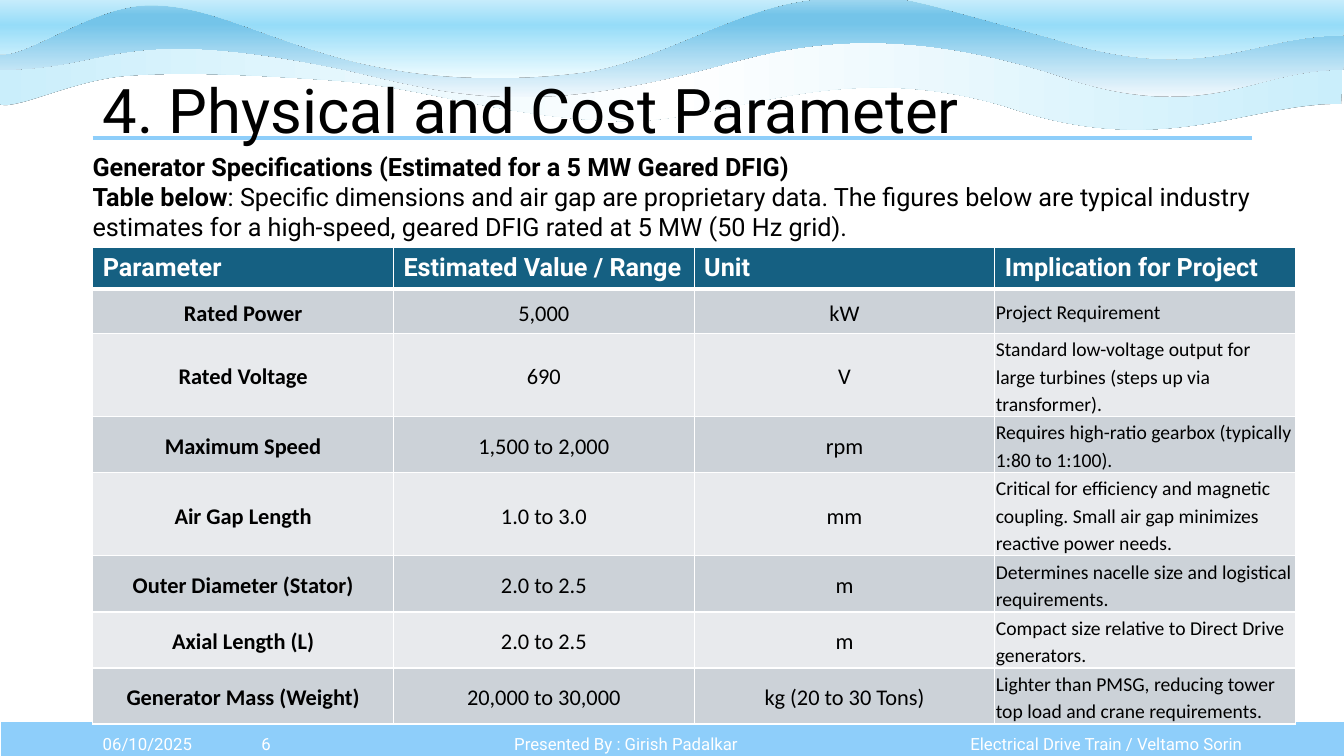
from pptx import Presentation
from pptx.dml.color import RGBColor
from pptx.enum.shapes import MSO_CONNECTOR, MSO_SHAPE
from pptx.enum.text import MSO_ANCHOR, PP_ALIGN
from pptx.oxml import parse_xml
from pptx.oxml.ns import nsdecls, qn
from pptx.util import Inches, Pt

LEFT, CENTER, RIGHT = PP_ALIGN.LEFT, PP_ALIGN.CENTER, PP_ALIGN.RIGHT
MIDDLE, TOP = MSO_ANCHOR.MIDDLE, MSO_ANCHOR.TOP
RECT, STRAIGHT = MSO_SHAPE.RECTANGLE, MSO_CONNECTOR.STRAIGHT
NS = nsdecls("a")
UNIT = 1000  # path units per inch

# Each wave: box, gradient stops, gradient angle, outline (2 numbers: line, 6: curve)
WAVES = [
    ((-0.04, 0.3, 13.36, 0.98), [(0, "CAEEFB"), (50, "FFFFFF"), (100, "CAEEFB")], 0, [
        (13.3, 1.03), (12.37, 1.02, 11.52, 1.59, 9.99, 1.06),
        (8.27, 0.54, 7.21, 1.24, 6.1, 1.2), (4.99, 1.16, 4.21, 0.87, 3.35, 0.8),
        (2.49, 0.74, 1.83, 0.71, 1.27, 0.75), (0.71, 0.79, 0.14, 1.11, -0.02, 1.03),
        (-0.02, 0.8, -0.04, 0.53, -0.04, 0.3), (3.13, 0.31), (6.52, 0.34),
        (9.41, 0.32), (13.32, 0.34), (13.32, 0.55, 13.32, 0.8, 13.3, 1.03)]),
    ((0, -0.02, 13.33, 0.98),
     [(0, "F0F8FD"), (74, "74C4E9"), (83, "74C4E9"), (100, "A2D8F0")], 90, [
        (13.32, 0.69), (12.39, 0.69, 11.96, 1.27, 10.44, 0.73),
        (8.71, 0.19, 7.73, 0.49, 7.06, 0.67), (5.28, 1.14, 4.59, 0.97, 3.46, 0.7),
        (1.13, 0.21, 1.15, 0.69, 0, 0.69), (0, 0.46, 0.01, 0.23, 0.01, -0.01),
        (3.13, 0), (6.54, -0.02), (9.46, -0.01), (13.33, 0.03),
        (13.33, 0.25, 13.34, 0.46, 13.32, 0.69)]),
    ((-0.03, -0.28, 13.36, 1.06), [(0, "EFFCFF"), (50, "96DCF8"), (100, "FFFFFF")], 90, [
        (13.32, 0.35), (12.39, 0.35, 11.96, 0.86, 10.44, 0.38),
        (8.72, -0.09, 8.91, -0.07, 8.13, -0.01), (7.35, 0.04, 6.53, 0.62, 5.76, 0.72),
        (4.98, 0.82, 4.24, 0.79, 3.47, 0.6), (2.58, 0.36, 2.07, 0.05, 1.5, 0.05),
        (0.92, 0.04, 0.22, 0.61, -0.03, 0.53), (-0.02, 0.32, 0.01, -0.06, 0.01, -0.27),
        (3.13, -0.26), (6.54, -0.28), (9.46, -0.27), (13.33, -0.24),
        (13.33, -0.04, 13.34, 0.14, 13.32, 0.35)]),
]

INTRO = [
    "**Generator Specifications (Estimated for a 5 MW Geared DFIG)**",
    "**Table below**: Specific dimensions and air gap are proprietary data. The figures "
    "below are typical industry estimates for a high-speed, geared DFIG rated at "
    "5 MW (50 Hz grid).",
]

HEAD = ["Parameter", "Estimated Value / Range", "Unit", "Implication for Project"]
ROWS = [
    ("Rated Power", "5,000", "kW", "Project Requirement"),
    ("Rated Voltage", "690", "V",
     "Standard low-voltage output for large turbines (steps up via transformer)."),
    ("Maximum Speed", "1,500 to 2,000", "rpm",
     "Requires high-ratio gearbox (typically 1:80 to 1:100)."),
    ("Air Gap Length", "1.0 to 3.0", "mm",
     "Critical for efficiency and magnetic coupling. "
     "Small air gap minimizes reactive power needs."),
    ("Outer Diameter (Stator)", "2.0 to 2.5", "m",
     "Determines nacelle size and logistical requirements."),
    ("Axial Length (L)", "2.0 to 2.5", "m",
     "Compact size relative to Direct Drive generators."),
    ("Generator Mass (Weight)", "20,000 to 30,000", "kg (20 to 30 Tons)",
     "Lighter than PMSG, reducing tower top load and crane requirements."),
]
TALL = [0.42, 0.44, 0.5, 0.5, 0.75, 0.5, 0.5, 0.5]


def rgb(hue):
    return RGBColor.from_string(hue)


def write(frame, lines, size=12, font="Roboto", color="000000", align=LEFT,
          lead=None, after=None):
    """Fill a text frame; ** switches bold on and off."""
    frame.word_wrap = True
    for i, line in enumerate(lines):
        para = frame.add_paragraph() if i else frame.paragraphs[0]
        para.alignment = align
        if lead:
            para.line_spacing = lead
        if after:
            para.space_after = Pt(after)
        for j, part in enumerate(line.split("**")):
            if part:
                run = para.add_run()
                run.text = part
                run.font.size, run.font.name = Pt(size), font
                run.font.bold = j % 2 == 1
                run.font.color.rgb = rgb(color)


class Deck:
    blue, white, head = "8ECEFA", "FFFFFF", "156082"
    bands = ("CCD2D8", "E8EAED")

    def __init__(self):
        self.prs = Presentation()
        self.prs.slide_width, self.prs.slide_height = Inches(13.33), Inches(7.5)
        self.slide = self.prs.slides.add_slide(self.prs.slide_layouts[6])
        self.shapes = self.slide.shapes

    def bar(self, *box):
        bar = self.shapes.add_shape(RECT, *map(Inches, box))
        bar.shadow.inherit = False
        bar.fill.solid()
        bar.fill.fore_color.rgb = rgb(self.blue)
        bar.line.color.rgb = rgb(self.white)
        bar.line.width = Pt(1.5)

    def wave(self, box, stops, angle, steps):
        x, y, w, h = box
        pen = self.shapes.build_freeform(round(x * UNIT), round(y * UNIT), Inches(1) / UNIT)
        pen.add_line_segments([(round(a * UNIT), round(b * UNIT))
                               for a, b in [(x + w, y), (x + w, y + h), (x, y + h)]])
        wave = pen.convert_to_shape()
        wave.rotation = 180
        wave.line.fill.background()
        wave.shadow.inherit = False
        # Curved outline, turned half round to undo the rotation
        route = wave._element.xpath(".//a:path")[0]
        for node in list(route):
            route.remove(node)
        for i, step in enumerate(steps):
            tag = "cubicBezTo" if len(step) == 6 else "lnTo" if i else "moveTo"
            pts = "".join(
                f'<a:pt x="{round((x + w - a) * UNIT)}" y="{round((y + h - b) * UNIT)}"/>'
                for a, b in zip(step[::2], step[1::2]))
            route.append(parse_xml(f"<a:{tag} {NS}>{pts}</a:{tag}>"))
        route.append(parse_xml(f"<a:close {NS}/>"))
        # Gradient and shadow
        marks = "".join(f'<a:gs pos="{pos * 1000}"><a:srgbClr val="{hue}"/></a:gs>'
                        for pos, hue in stops)
        props = wave._element.spPr
        props.find(qn("a:custGeom")).addnext(parse_xml(
            f'<a:gradFill {NS} rotWithShape="1"><a:gsLst>{marks}</a:gsLst>'
            f'<a:lin ang="{angle * 60000}" scaled="0"/></a:gradFill>'))
        props.find(qn("a:effectLst")).append(parse_xml(
            f'<a:outerShdw {NS} blurRad="0" dist="0"><a:srgbClr val="000000"/></a:outerShdw>'))

    def rule(self, *ends):
        rule = self.shapes.add_connector(STRAIGHT, *map(Inches, ends))
        rule.line.color.rgb = rgb(self.blue)
        rule.line.width = Pt(3)
        rule._element.spPr.append(parse_xml(f"<a:effectLst {NS}/>"))

    def text(self, box, lines, anchor=MIDDLE, **style):
        frame = self.shapes.add_textbox(*map(Inches, box)).text_frame
        frame.vertical_anchor = anchor
        write(frame, lines, **style)

    def cell(self, cell, text, fill, base=1, inset=None, **style):
        cell.fill.solid()
        cell.fill.fore_color.rgb = rgb(fill)
        cell.vertical_anchor = MIDDLE
        if inset:
            cell.margin_left = cell.margin_right = Inches(inset)
            cell.margin_top = cell.margin_bottom = Inches(inset)
        write(cell.text_frame, [text], **style)
        props = cell._tc.get_or_add_tcPr()
        for i, (side, wide) in enumerate(zip("LRTB", (1, 1, 1, base))):
            props.insert(i, parse_xml(
                f'<a:ln{side} {NS} w="{Pt(wide)}"><a:solidFill>'
                f'<a:srgbClr val="{self.white}"/></a:solidFill></a:ln{side}>'))

    def table(self, box, head, rows, tall):
        grid = self.shapes.add_table(len(tall), len(head), *map(Inches, box)).table
        for row, high in zip(grid.rows, tall):
            row.height = Inches(high)
        for c, text in enumerate(head):
            self.cell(grid.cell(0, c), f"**{text}**", self.head, base=3,
                      size=18, color=self.white)
        for r, row in enumerate(rows, 1):
            for c, text in enumerate(row):
                last = c == len(head) - 1
                self.cell(grid.cell(r, c), text if c else f"**{text}**",
                          self.bands[(r - 1) % 2], inset=0.01, font="Calibri",
                          size=14 if last else 16, align=LEFT if last else CENTER,
                          lead=1.15, after=8)


def main():
    deck = Deck()
    # Backdrop
    deck.bar(0, 7.15, 13.35, 0.4)
    for wave in WAVES:
        deck.wave(*wave)
    deck.rule(0.92, 1.37, 12.42, 1.37)
    # Title and intro
    deck.text((0.92, 0.4, 11.5, 1.45), ["4. Physical and Cost Parameter"], size=44, lead=0.9)
    deck.text((0.82, 1.45, 11.85, 1.01), INTRO, anchor=TOP, size=18)
    # Footer
    for x, w, text, align in [
            (3.15, 6.12, "Presented By : Girish Padalkar", CENTER),
            (0.92, 1.22, "06/10/2025", LEFT),
            (9.27, 3.15, "Electrical Drive Train / Veltamo Sorin", RIGHT),
            (2.13, 1.02, "6", CENTER)]:
        deck.text((x, 7.18, w, 0.4), [text], color=deck.white, align=align)
    # Generator table
    deck.table((0.92, 2.45, 11.93, sum(TALL)), HEAD, ROWS, TALL)
    deck.prs.save("out.pptx")


if __name__ == "__main__":
    main()
